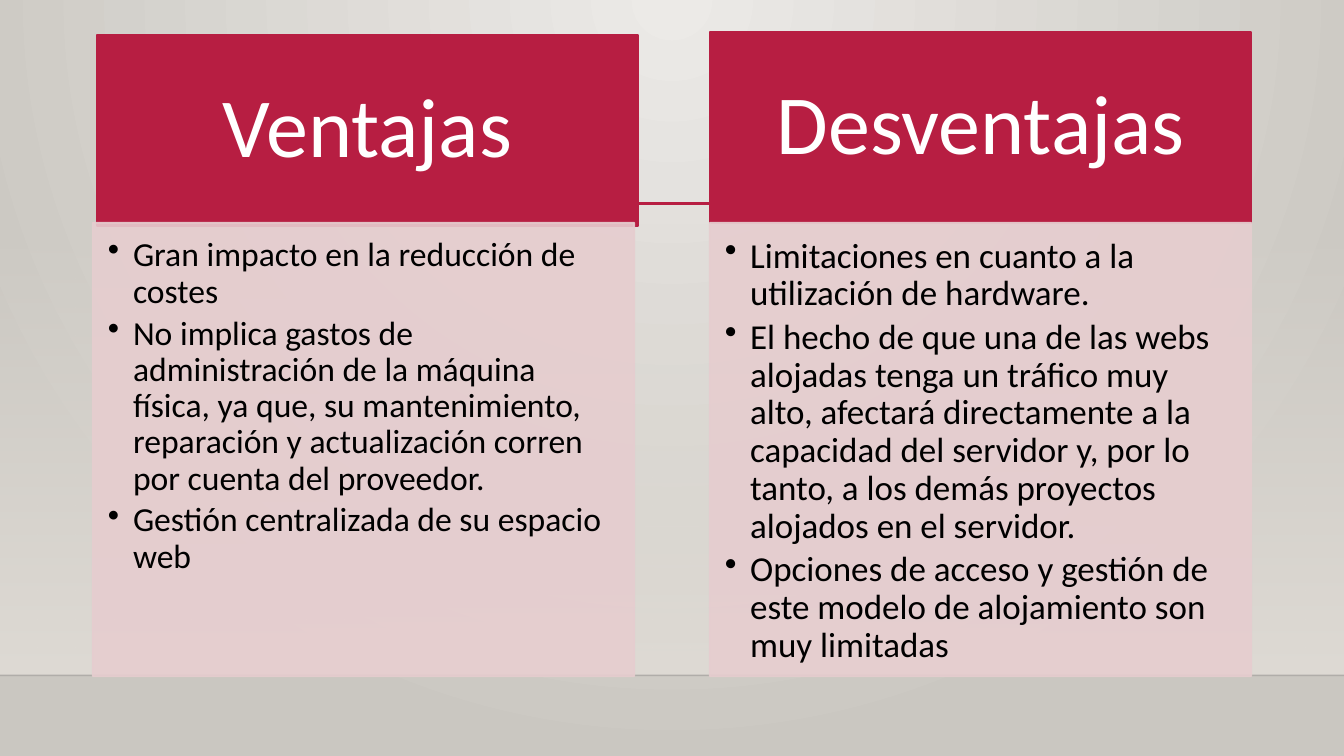
from dataclasses import dataclass

from lxml import etree
from pptx import Presentation
from pptx import util as u
from pptx.dml.color import RGBColor
from pptx.enum import shapes, text
from pptx.oxml import ns


@dataclass(frozen=True)
class Theme:
    font: str = "Calibri"
    glow: str = "ECEAE7"
    edge: str = "CAC7C1"
    wall: str = "DFDBD5"
    floor_line: str = "000001"
    accent: str = "B71E42"
    panel: str = "E6CDCF"
    heading_text: str = "FFFFFF"
    body_text: str = "000000"
    heading_size: int = 60


@dataclass(frozen=True)
class Column:
    heading: str
    heading_left: float
    heading_top: float
    body_left: float
    body_size: int
    points: tuple[str, ...]


@dataclass(frozen=True)
class Rule:
    left: float
    right: float
    top: float
    color: str
    width: float
    opacity: int = 100


THEME = Theme()
WIDTH, HEIGHT = 13.33, 7.5
COLUMN_WIDTH, HEADING_HEIGHT = 5.37, 1.89
BODY_TOP, BODY_HEIGHT = 2.21, 4.5
HEADING_INSETS = (0.47, 0.27, 0.47, 0.27)
BODY_INSETS = (0.15, 0.15, 0.19, 0.22)

RULES = (
    Rule(0, WIDTH, 6.7, THEME.floor_line, 1, 20),
    Rule(1.59, 12.1, 2.02, THEME.accent, 2.5),
)

COLUMNS = (
    Column("Ventajas", 0.96, 0.35, 0.92, 24, (
        "Gran impacto en la reducción de costes",
        "No implica gastos de administración de la máquina física, ya que, "
        "su mantenimiento, reparación y actualización corren por cuenta del proveedor.",
        "Gestión centralizada de su espacio web",
    )),
    Column("Desventajas", 7.04, 0.32, 7.04, 25, (
        "Limitaciones en cuanto a la utilización de hardware.",
        "El hecho de que una de las webs alojadas tenga un tráfico muy alto, "
        "afectará directamente a la capacidad del servidor y, por lo tanto, "
        "a los demás proyectos alojados en el servidor.",
        "Opciones de acceso y gestión de este modelo de alojamiento son muy limitadas",
    )),
)


def set_opacity(element, percent: int) -> None:
    for color in element.iter(ns.qn("a:srgbClr")):
        etree.SubElement(color, ns.qn("a:alpha"), val=str(percent * 1000))


def set_gradient(fill, first: str, last: str) -> None:
    fill.gradient()
    for stop, color, position in zip(fill.gradient_stops, (first, last), (0, 1)):
        stop.color.rgb = RGBColor.from_string(color)
        stop.position = position


def paint_background(page) -> None:
    set_gradient(page.background.fill, THEME.glow, THEME.edge)
    gradient = page._element.find(".//" + ns.qn("a:gradFill"))
    for linear in gradient.findall(ns.qn("a:lin")):
        gradient.remove(linear)
    circle = etree.SubElement(gradient, ns.qn("a:path"), {"path": "circle"})
    etree.SubElement(circle, ns.qn("a:fillToRect"), l="43000", t="0", r="43000", b="100000")


def add_box(page, left: float, top: float, width: float, height: float):
    box = page.shapes.add_shape(
        shapes.MSO_SHAPE.RECTANGLE, *map(u.Inches, (left, top, width, height)))
    box.shadow.inherit = False
    return box


def add_wall(page) -> None:
    wall = add_box(page, 0, BODY_TOP, WIDTH, 4.49)
    set_gradient(wall.fill, THEME.wall, THEME.wall)
    wall.fill.gradient_angle = 270
    set_opacity(wall._element.find(".//" + ns.qn("a:gs")), 0)
    wall.line.fill.background()


def add_rule(page, rule: Rule) -> None:
    line = page.shapes.add_connector(
        shapes.MSO_CONNECTOR.STRAIGHT,
        *map(u.Inches, (rule.left, rule.top, rule.right, rule.top)))
    line.line.color.rgb = RGBColor.from_string(rule.color)
    line.line.width = u.Pt(rule.width)
    set_opacity(line._element, rule.opacity)
    etree.SubElement(line._element.spPr, ns.qn("a:effectLst"))


def add_panel(page, left: float, top: float, height: float, color: str,
              opacity: int, insets: tuple[float, ...]):
    box = add_box(page, left, top, COLUMN_WIDTH, height)
    box.fill.solid()
    box.fill.fore_color.rgb = RGBColor.from_string(color)
    box.line.color.rgb = RGBColor.from_string(color)
    box.line.width = u.Pt(1.25)
    set_opacity(box._element, opacity)
    frame = box.text_frame
    frame.word_wrap = True
    (frame.margin_left, frame.margin_top,
     frame.margin_right, frame.margin_bottom) = map(u.Inches, insets)
    return frame


def write(para, wording: str, size: int, color: str, align) -> None:
    para.alignment = align
    para.line_spacing = 0.9
    span = para.add_run()
    span.text = wording
    span.font.name = THEME.font
    span.font.size = u.Pt(size)
    span.font.color.rgb = RGBColor.from_string(color)


def add_bullet(para) -> None:
    para.space_after = u.Pt(4)
    properties = para._p.get_or_add_pPr()
    indent = u.Inches(0.25)
    properties.set("marL", str(indent))
    properties.set("indent", str(-indent))
    etree.SubElement(properties, ns.qn("a:buChar"), char="•")


def add_column(page, column: Column) -> None:
    heading = add_panel(page, column.heading_left, column.heading_top,
                        HEADING_HEIGHT, THEME.accent, 100, HEADING_INSETS)
    heading.vertical_anchor = text.MSO_ANCHOR.MIDDLE
    write(heading.paragraphs[0], column.heading, THEME.heading_size,
          THEME.heading_text, text.PP_ALIGN.CENTER)

    body = add_panel(page, column.body_left, BODY_TOP, BODY_HEIGHT,
                     THEME.panel, 90, BODY_INSETS)
    body.vertical_anchor = text.MSO_ANCHOR.TOP
    for index, point in enumerate(column.points):
        para = body.add_paragraph() if index else body.paragraphs[0]
        write(para, point, column.body_size, THEME.body_text, text.PP_ALIGN.LEFT)
        add_bullet(para)


def main() -> None:
    deck = Presentation()
    deck.slide_width, deck.slide_height = u.Inches(WIDTH), u.Inches(HEIGHT)
    page = deck.slides.add_slide(deck.slide_layouts[6])
    paint_background(page)
    add_wall(page)
    for rule in RULES:
        add_rule(page, rule)
    for column in COLUMNS:
        add_column(page, column)
    deck.save("out.pptx")


if __name__ == "__main__":
    main()
